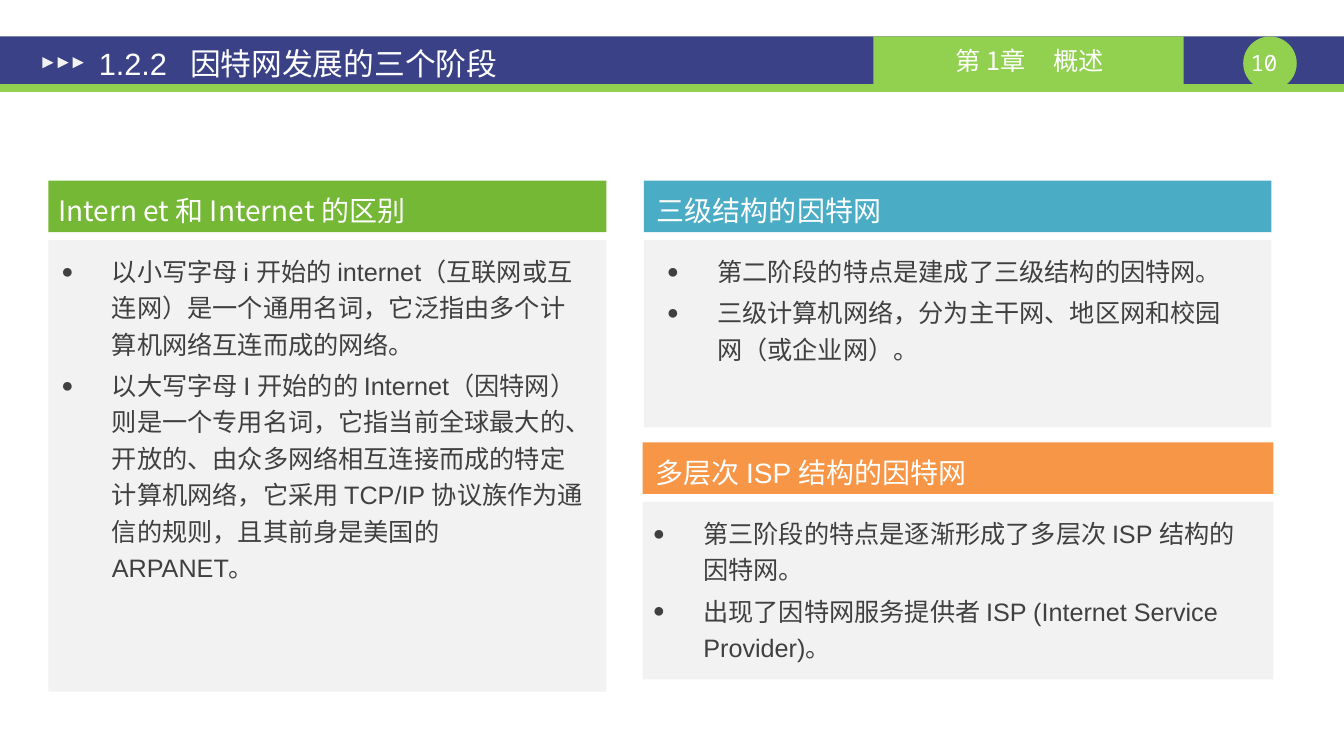
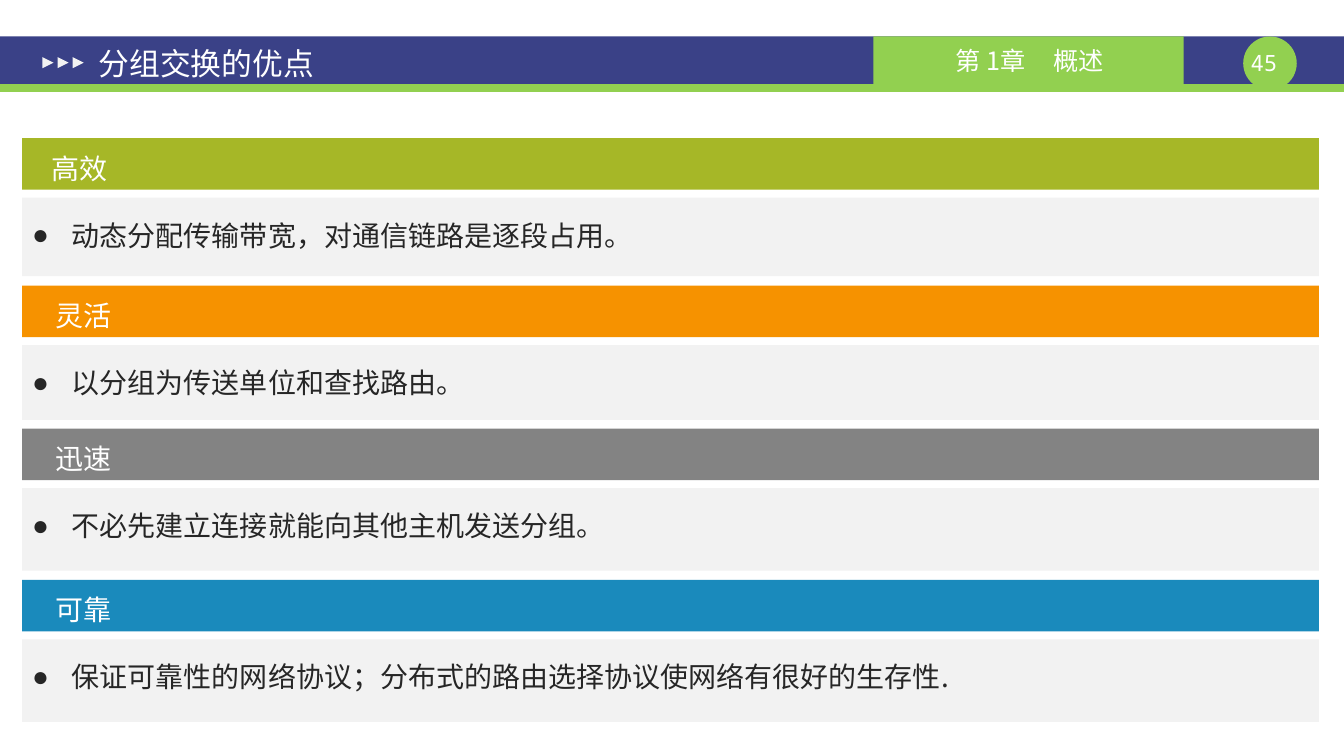
from lxml.etree import SubElement as Sub
from pptx import Presentation
from pptx.dml.color import RGBColor as Rgb
from pptx.enum.shapes import MSO_SHAPE as Kind
from pptx.enum.text import MSO_ANCHOR as Anchor, MSO_AUTO_SIZE as Fit, PP_ALIGN as Align
from pptx.oxml.ns import qn
from pptx.util import Cm, Pt

HUES = {
    "navy": "3A4187", "lime": "92D050", "white": "FFFFFF", "pale": "F2F2F2",
    "dark": "404040", "ink": "262626", "green": "74B836", "teal": "4BACC6",
    "peach": "F79646", "olive": "A6B727", "orange": "F69200", "gray": "838383",
    "blue": "1A8ABC",
}
SANS, HAN, MONO = "Arial", "Noto Sans CJK SC", "Noto Sans Mono"
TITLE = dict(size=22, face=SANS, hue="white", pad=(0.33, 0.18), anchor=Anchor.MIDDLE)
PAGE = dict(size=16, face=MONO, hue="white", pad=(0, 0), align=Align.CENTER)
PART = dict(size=18, face=HAN, hue="white", pad=(2.07, 0.13), anchor=Anchor.MIDDLE, tab=2.47)
HEAD = dict(size=20, face=SANS, hue="white", pad=(0.33, 0.15), lead=29)
POINTS = dict(size=18, face=SANS, hue="dark", pad=(0.33, 0.18), lead=26, gap=3.6,
              hang=1.27, dot=80)
LINES = dict(size=20, face=HAN, hue="ink", pad=(0.25, 0.13), lead=33, gap=3,
             hang=1, dot=100)


def put(item, **vals):
    for key, val in vals.items():
        setattr(item, key, val)


def tint(name):
    return Rgb.from_string(HUES[name])


class Deck:
    def __init__(self):
        self.show = Presentation()
        put(self.show, slide_width=Cm(33.88), slide_height=Cm(19.05))

    def page(self, title, num, tab=None):
        self.slide = self.show.slides.add_slide(self.show.slide_layouts[4])
        self.free = list(self.slide.placeholders)
        self.shape(Kind.RECTANGLE, (0, 0.92, 33.88, 1.2), "navy")
        self.shape(Kind.RECTANGLE, (0, 2.12, 33.88, 0.2), "lime")
        self.shape(Kind.OVAL, (31.34, 0.92, 1.35, 1.35), "lime")
        self.label((31.19, 1.23, 1.35, 0.69), num, PAGE)
        part = self.shape(Kind.RECTANGLE, (22.02, 0.92, 7.82, 1.2), "lime")
        self.letter(part, ["第 1章\t概述"], PART)
        for step in range(3):
            mark = self.shape(Kind.ISOSCELES_TRIANGLE,
                              (1.07 + 0.38 * step, 1.44, 0.28, 0.28), "pale")
            mark.rotation = 90
        self.hold((2.16, 0.99, 17.3, 1.2), [title], dict(TITLE, tab=tab))

    def shape(self, kind, at, hue):
        item = self.slide.shapes.add_shape(kind, *map(Cm, at))
        item.shadow.inherit = False
        item.fill.solid()
        item.fill.fore_color.rgb = tint(hue)
        item.line.fill.background()
        return item

    def label(self, at, text, style):
        self.letter(self.slide.shapes.add_textbox(*map(Cm, at)), [text], style)

    def hold(self, at, texts, style):
        item = self.free.pop(0)
        put(item, **dict(zip(("left", "top", "width", "height"), map(Cm, at))))
        item.element.getparent().append(item.element)
        self.letter(item, texts, style)

    def letter(self, item, texts, style):
        frame = item.text_frame
        side, top = map(Cm, style["pad"])
        put(frame, word_wrap=True, auto_size=Fit.NONE,
            vertical_anchor=style.get("anchor", Anchor.TOP),
            margin_left=side, margin_right=min(side, Cm(0.33)),
            margin_top=top, margin_bottom=top)
        for pos, text in enumerate(texts):
            para = frame.add_paragraph() if pos else frame.paragraphs[0]
            self.marks(para, style)
            put(para, alignment=style.get("align", Align.LEFT),
                space_before=Pt(style["gap"] if pos else 0))
            if style.get("lead"):
                para.line_spacing = Pt(style["lead"])
            run = para.add_run()
            run.text = text
            put(run.font, size=Pt(style["size"]), name=style["face"], bold=False)
            run.font.color.rgb = tint(style["hue"])
            Sub(run.font._element, qn("a:ea"), typeface=HAN)

    def marks(self, para, style):
        prop = para._p.get_or_add_pPr()
        if style.get("hang"):
            hang = Cm(style["hang"])
            prop.set("marL", str(hang))
            prop.set("indent", str(-hang))
            Sub(prop, qn("a:buSzPct"), val=str(style["dot"] * 1000))
            Sub(prop, qn("a:buFont"), typeface=SANS)
            Sub(prop, qn("a:buChar"), char="●")
        if style.get("tab"):
            tabs = Sub(prop, qn("a:tabLst"))
            Sub(tabs, qn("a:tab"), pos=str(Cm(style["tab"])), algn="l")

    def card(self, at, hue, head, texts, style, pad, face=SANS, shift=0, trim=0):
        left, top, width, high = at
        body = top + 1.5
        self.shape(Kind.RECTANGLE, (left, body, width, high), "pale")
        bar = self.shape(Kind.RECTANGLE, (left, top, width, 1.3), hue)
        self.letter(bar, [head], dict(HEAD, pad=(pad, 0.15), face=face))
        self.hold((left + shift, body + 0.07, width - trim, high - 0.07), texts, style)

    def tidy(self):
        for item in self.free:
            item.element.getparent().remove(item.element)


def main():
    deck = Deck()
    deck.page("1.2.2\t因特网发展的三个阶段", "10", tab=2.3)
    deck.card((1.22, 4.55, 14.07, 11.38), "green", "Intern et 和 Internet 的区别", [
        "以小写字母 i 开始的 internet（互联网或互连网）是一个通用名词，它泛指由多个计算机网络互连而成的网络。",
        "以大写字母 I 开始的的 Internet（因特网）则是一个专用名词，它指当前全球最大的、开放的、"
        "由众多网络相互连接而成的特定计算机网络，它采用 TCP/IP 协议族作为通信的规则，且其前身是美国的 ARPANET。",
    ], POINTS, 0.25, face=HAN, trim=0.23)
    deck.card((16.23, 4.55, 15.82, 4.72), "teal", "三级结构的因特网", [
        "第二阶段的特点是建成了三级结构的因特网。",
        "三级计算机网络，分为主干网、地区网和校园网（或企业网）。",
    ], POINTS, 0.33, shift=0.25, trim=0.76)
    deck.card((16.2, 11.15, 15.9, 4.47), "peach", "多层次 ISP 结构的因特网", [
        "第三阶段的特点是逐渐形成了多层次 ISP 结构的因特网。",
        "出现了因特网服务提供者 ISP (Internet Service Provider)。",
    ], POINTS, 0.33, shift=-0.07)
    deck.tidy()

    deck.page("分组交换的优点", "45")
    for top, high, hue, pad, head, text in (
        (3.48, 1.98, "olive", 0.73, "高效", "动态分配传输带宽，对通信链路是逐段占用。"),
        (7.2, 1.88, "orange", 0.83, "灵活", "以分组为传送单位和查找路由。"),
        (10.8, 2.08, "gray", 0.83, "迅速", "不必先建立连接就能向其他主机发送分组。"),
        (14.61, 2.08, "blue", 0.83, "可靠",
         "保证可靠性的网络协议；分布式的路由选择协议使网络有很好的生存性."),
    ):
        deck.card((0.56, top, 32.69, high), hue, head, [text], LINES, pad)
    deck.tidy()
    deck.show.save("out.pptx")


if __name__ == "__main__":
    main()
